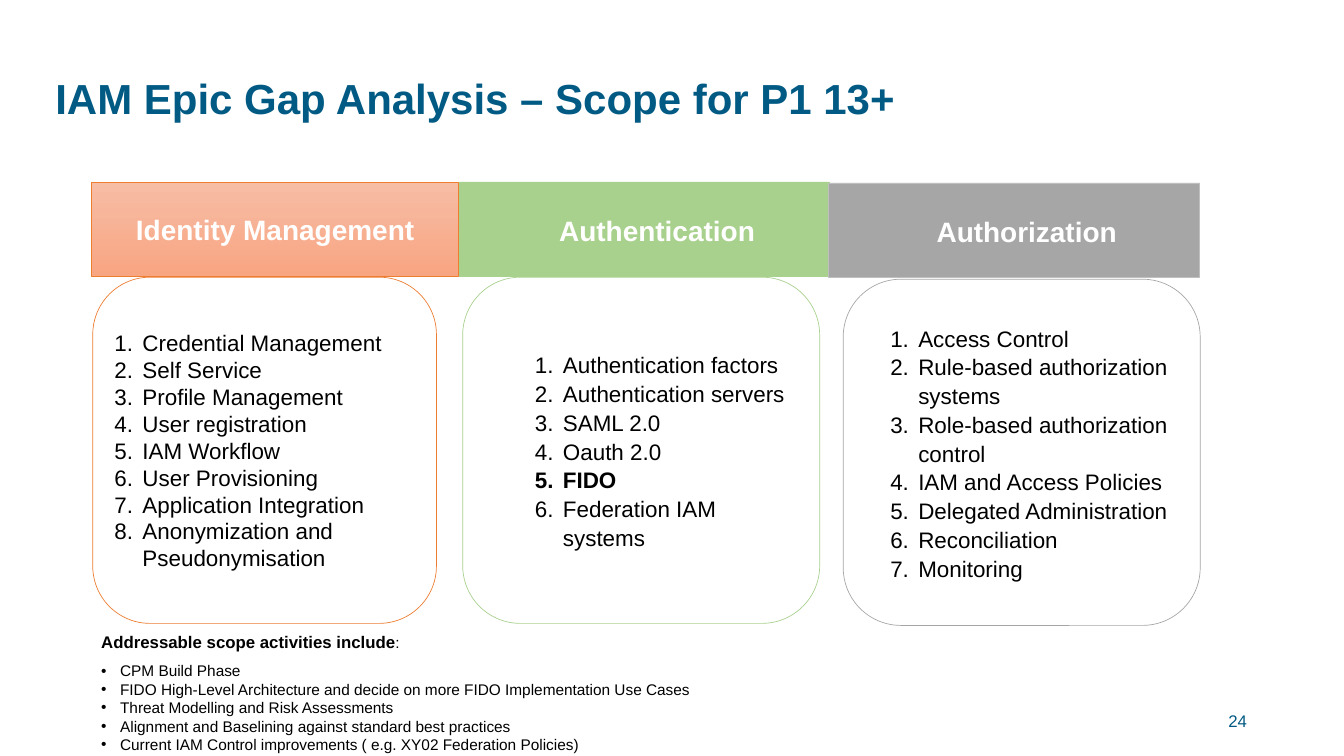
"""Build the IAM epic gap analysis slide."""
from lxml.etree import SubElement
from pptx import Presentation
from pptx.dml.color import RGBColor
from pptx.enum.shapes import MSO_SHAPE
from pptx.enum.text import MSO_ANCHOR, PP_ALIGN
from pptx.oxml.ns import qn
from pptx.util import Pt

COLORS = {
    "title": "005A83", "text": "000000", "white": "FFFFFF",
    "orange": "ED7D31", "peach_top": "F7BDA5", "peach_bottom": "F8A582",
    "green": "A9D18E", "gray": "A6A6A6", "silver": "BFBFBF",
}
TITLE = "IAM Epic Gap Analysis – Scope for P1 13+"
PAGE_NUMBER = "24"
COLUMNS = [
    {"heading": "Identity Management", "fill": ("peach_top", "peach_bottom"),
     "border": "orange", "outline": "orange", "header_box": (131, 260, 524, 134),
     "card_box": (132.5, 396, 491, 494.6), "heading_indent": 0, "indent": 40,
     "spacing": 1.0,
     "items": ["Credential Management", "Self Service", "Profile Management",
               "User registration", "IAM Workflow", "User Provisioning",
               "Application Integration", "Anonymization and Pseudonymisation"]},
    {"heading": "Authentication", "fill": ("green",),
     "border": "green", "outline": "green", "header_box": (656.6, 260, 528, 134),
     "card_box": (661, 396, 510, 494.6), "heading_indent": 36, "indent": 112,
     "spacing": 1.07,
     "items": ["Authentication factors", "Authentication servers", "SAML 2.0",
               "Oauth 2.0", "FIDO", "Federation IAM systems"]},
    {"heading": "Authorization", "fill": ("gray",),
     "border": "silver", "outline": "gray", "header_box": (1183.7, 261.4, 530, 134),
     "card_box": (1204.6, 398.9, 510, 494.6), "heading_indent": 36, "indent": 76,
     "spacing": 1.07,
     "items": ["Access Control", "Rule-based authorization systems",
               "Role-based authorization control", "IAM and Access Policies",
               "Delegated Administration", "Reconciliation", "Monitoring"]},
]
BOLD_ITEMS = {"FIDO"}
ACTIVITIES_HEADING = "Addressable scope activities include"
ACTIVITIES = [
    "CPM Build Phase",
    "FIDO High-Level Architecture and decide on more FIDO Implementation Use Cases",
    "Threat Modelling and Risk Assessments",
    "Alignment and Baselining against standard best practices",
    "Current IAM Control improvements ( e.g. XY02 Federation Policies)",
]


def rgb(name):
    return RGBColor.from_string(COLORS[name])


def add_run(paragraph, text, size, color="text", bold=False):
    run = paragraph.add_run()
    run.text = text
    run.font.name = "Arial"
    run.font.size = Pt(size)
    run.font.bold = bold
    run.font.color.rgb = rgb(color)


def write(shape, text, size=32, color="text", bold=False, align=PP_ALIGN.LEFT,
          indent=0, hanging=0, bullet=None, spacing=1.0, before=0, first=False):
    """Add one formatted paragraph to a shape."""
    frame = shape.text_frame
    paragraph = frame.paragraphs[0] if first else frame.add_paragraph()
    properties = paragraph._p.get_or_add_pPr()
    properties.set("marL", str(Pt(indent)))
    properties.set("indent", str(-Pt(hanging)))
    if bullet:
        SubElement(properties, qn("a:buFont"), typeface="Arial")
        if bullet == "number":
            SubElement(properties, qn("a:buAutoNum"), type="arabicPeriod")
        else:
            SubElement(properties, qn("a:buChar"), char=bullet)
    paragraph.alignment = align
    paragraph.line_spacing = spacing
    if before:
        paragraph.space_before = Pt(before)
    add_run(paragraph, text, size, color, bold)
    return paragraph


def add_text_box(slide, box, anchor=MSO_ANCHOR.MIDDLE):
    shape = slide.shapes.add_textbox(*map(Pt, box))
    shape.text_frame.word_wrap = True
    shape.text_frame.vertical_anchor = anchor
    return shape


def add_panel(slide, kind, box, fill, border, width):
    shape = slide.shapes.add_shape(kind, *map(Pt, box))
    shape.shadow.inherit = False
    if len(fill) == 1:
        shape.fill.solid()
        shape.fill.fore_color.rgb = rgb(fill[0])
    else:
        shape.fill.gradient()
        shape.fill.gradient_angle = 270
        for stop, name in zip(shape.fill.gradient_stops, fill):
            stop.color.rgb = rgb(name)
    shape.line.color.rgb = rgb(border)
    shape.line.width = Pt(width)
    shape.text_frame.word_wrap = True
    shape.text_frame.vertical_anchor = MSO_ANCHOR.MIDDLE
    return shape


def add_column(slide, column):
    card = add_panel(slide, MSO_SHAPE.ROUNDED_RECTANGLE, column["card_box"],
                     ("white",), column["outline"], 1)
    for index, item in enumerate(column["items"]):
        write(card, item, bold=item in BOLD_ITEMS, indent=column["indent"],
              hanging=40, bullet="number", spacing=column["spacing"],
              first=index == 0)
    header = add_panel(slide, MSO_SHAPE.RECTANGLE, column["header_box"],
                       column["fill"], column["border"], 0.5)
    write(header, column["heading"], size=40, color="white", bold=True,
          align=PP_ALIGN.CENTER, indent=column["heading_indent"],
          spacing=column["spacing"], first=True)


def main():
    presentation = Presentation()
    presentation.slide_width, presentation.slide_height = Pt(1920), Pt(1080)
    slide = presentation.slides.add_slide(presentation.slide_layouts[6])

    title = add_text_box(slide, (72, 75.6, 1806.5, 208.8))
    title.text_frame.margin_bottom = Pt(75)
    write(title, TITLE, size=60, color="title", bold=True, spacing=0.9, first=True)

    number = add_text_box(slide, (1356.5, 1000.8, 432, 57.6))
    write(number, PAGE_NUMBER, size=24, color="title", align=PP_ALIGN.RIGHT, first=True)

    for column in COLUMNS:
        add_column(slide, column)

    activities = add_text_box(slide, (137.5, 898.6, 1033, 237.6), MSO_ANCHOR.TOP)
    heading = write(activities, ACTIVITIES_HEADING, size=24, bold=True, first=True)
    add_run(heading, ":", 22)
    for index, activity in enumerate(ACTIVITIES):
        write(activities, activity, size=22, indent=27, hanging=27, bullet="•",
              before=14 if index == 0 else 0)

    presentation.save("out.pptx")


if __name__ == "__main__":
    main()
